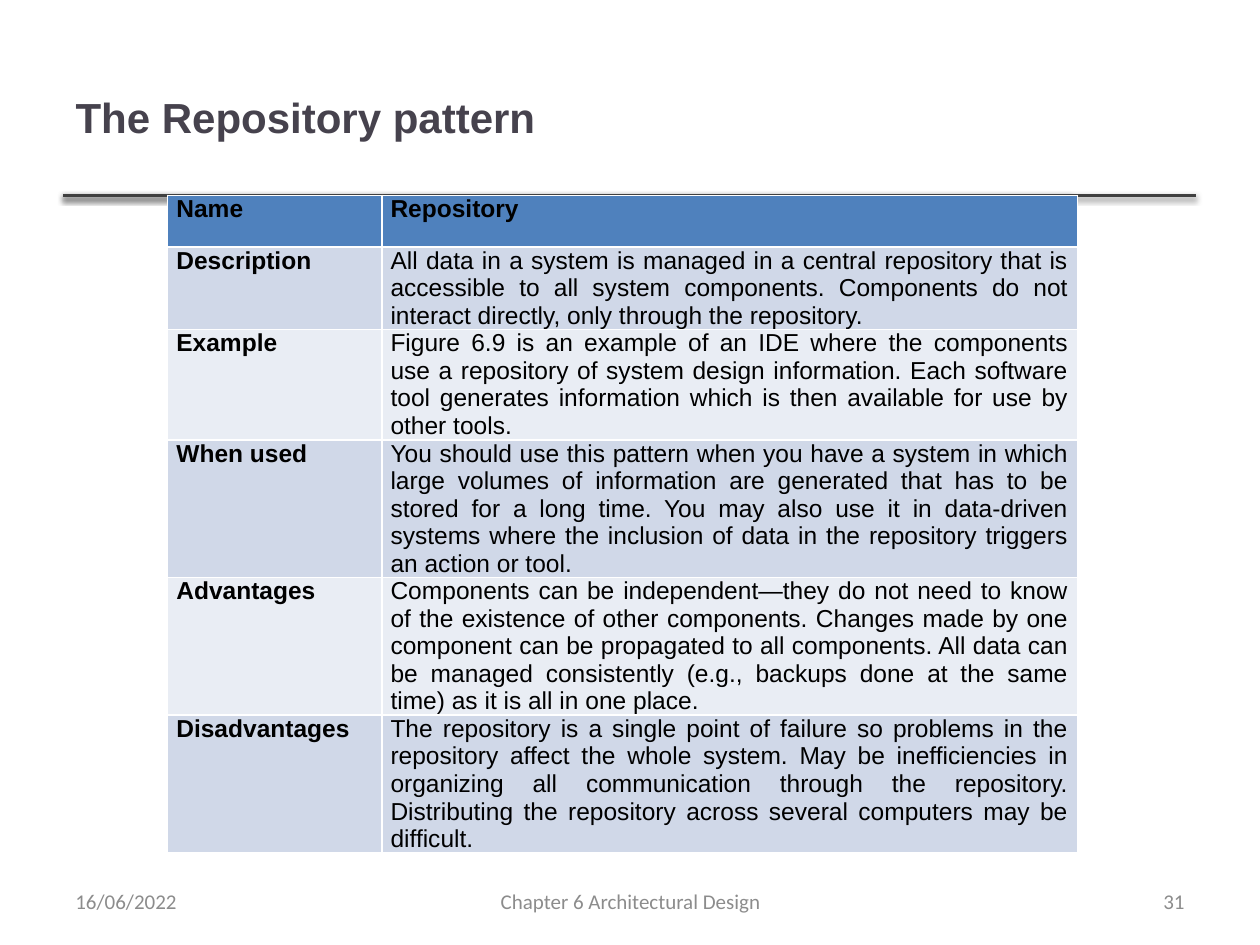
from lxml import etree
from pptx import Presentation
from pptx.dml.color import RGBColor
from pptx.enum.shapes import MSO_CONNECTOR
from pptx.enum.text import MSO_ANCHOR, PP_ALIGN
from pptx.oxml import parse_xml
from pptx.oxml.ns import nsdecls
from pptx.util import Inches, Pt

STRAIGHT = MSO_CONNECTOR.STRAIGHT
MIDDLE = MSO_ANCHOR.MIDDLE
LEFT, CENTER, RIGHT, JUSTIFY = (
    PP_ALIGN.LEFT, PP_ALIGN.CENTER, PP_ALIGN.RIGHT, PP_ALIGN.JUSTIFY)
TITLE_ONLY = 5

COLORS = {
    "title": "46424D",
    "rule": "404040",
    "shadow": "000000",
    "text": "000000",
    "footer": "8C8C8C",
    "header": "4F81BD",
    "odd_row": "D0D8E8",
    "even_row": "E9EDF4",
}

PATTERN = [
    ("Name", "Repository"),
    ("Description",
     "All data in a system is managed in a central repository that is "
     "accessible to all system components. Components do not interact "
     "directly, only through the repository."),
    ("Example",
     "Figure 6.9 is an example of an IDE where the components use a "
     "repository of system design information. Each software tool generates "
     "information which is then available for use by other tools."),
    ("When used",
     "You should use this pattern when you have a system in which large "
     "volumes of information are generated that has to be stored for a long "
     "time. You may also use it in data-driven systems where the inclusion of "
     "data in the repository triggers an action or tool."),
    ("Advantages",
     "Components can be independent—they do not need to know of the existence "
     "of other components. Changes made by one component can be propagated to "
     "all components. All data can be managed consistently (e.g., backups done "
     "at the same time) as it is all in one place."),
    ("Disadvantages",
     "The repository is a single point of failure so problems in the "
     "repository affect the whole system. May be inefficiencies in organizing "
     "all communication through the repository. Distributing the repository "
     "across several computers may be difficult."),
]

FOOTERS = [
    ("16/06/2022", 0.5, 2.33, LEFT),
    ("Chapter 6 Architectural Design", 3.42, 3.17, CENTER),
    ("31", 7.17, 2.33, RIGHT),
]


def rgb(name):
    return RGBColor.from_string(COLORS[name])


def set_text(frame, text, font, size, color, align, bold=False):
    frame.text = text
    paragraph = frame.paragraphs[0]
    paragraph.alignment = align
    run_font = paragraph.runs[0].font
    run_font.name = font
    run_font.size = Pt(size)
    run_font.bold = bold
    run_font.color.rgb = rgb(color)


def add_title(slide, text):
    title = slide.shapes.title
    title.left, title.top = Inches(0.5), Inches(0.3)
    title.width, title.height = Inches(7.98), Inches(1.25)
    title.text_frame.vertical_anchor = MIDDLE
    set_text(title.text_frame, text, "Arial", 24, "title", LEFT, bold=True)


def add_rule(slide, right):
    """Draw a shadowed line under the title, ending at right inches."""
    rule = slide.shapes.add_connector(
        STRAIGHT, Inches(0.5), Inches(1.55), Inches(right), Inches(1.55))
    rule.line.color.rgb = rgb("rule")
    rule.line.width = Pt(2)
    effects = parse_xml(f"<a:effectLst {nsdecls('a')}/>")
    shadow = etree.SubElement(
        effects, effects.tag.replace("effectLst", "outerShdw"),
        blurRad=str(Pt(3.1)), dist=str(Pt(1.6)), dir="5400000", rotWithShape="0")
    color = etree.SubElement(
        shadow, effects.tag.replace("effectLst", "srgbClr"), val=COLORS["shadow"])
    etree.SubElement(
        color, effects.tag.replace("effectLst", "alpha"), val="38000")
    rule.line._get_or_add_ln().addnext(effects)


def row_color(row):
    if row == 0:
        return "header"
    return "odd_row" if row % 2 else "even_row"


def add_pattern_table(slide):
    row_height = Inches(0.41)
    table = slide.shapes.add_table(
        len(PATTERN), 2, Inches(1.33), Inches(1.55),
        Inches(7.22), row_height * len(PATTERN)).table
    table.columns[0].width = Inches(1.7)
    table.columns[1].width = Inches(5.52)
    for row, entries in enumerate(PATTERN):
        table.rows[row].height = row_height
        for column, text in enumerate(entries):
            cell = table.cell(row, column)
            cell.fill.solid()
            cell.fill.fore_color.rgb = rgb(row_color(row))
            cell.margin_left = cell.margin_right = Inches(0.07)
            cell.margin_top = cell.margin_bottom = 0
            set_text(cell.text_frame, text, "Arial", 14, "text", JUSTIFY,
                     bold=row == 0 or column == 0)


def add_footer(slide, text, left, width, align):
    footer = slide.shapes.add_textbox(
        Inches(left), Inches(6.95), Inches(width), Inches(0.4))
    footer.text_frame.word_wrap = True
    footer.text_frame.vertical_anchor = MIDDLE
    set_text(footer.text_frame, text, "Calibri", 12, "footer", align)


def main():
    prs = Presentation()
    prs.slide_width, prs.slide_height = Inches(10), Inches(7.5)
    slide = prs.slides.add_slide(prs.slide_layouts[TITLE_ONLY])
    for right in (8.49, 9.49):
        add_rule(slide, right)
    add_title(slide, "The Repository pattern")
    add_pattern_table(slide)
    for footer in FOOTERS:
        add_footer(slide, *footer)
    prs.save("out.pptx")


if __name__ == "__main__":
    main()
